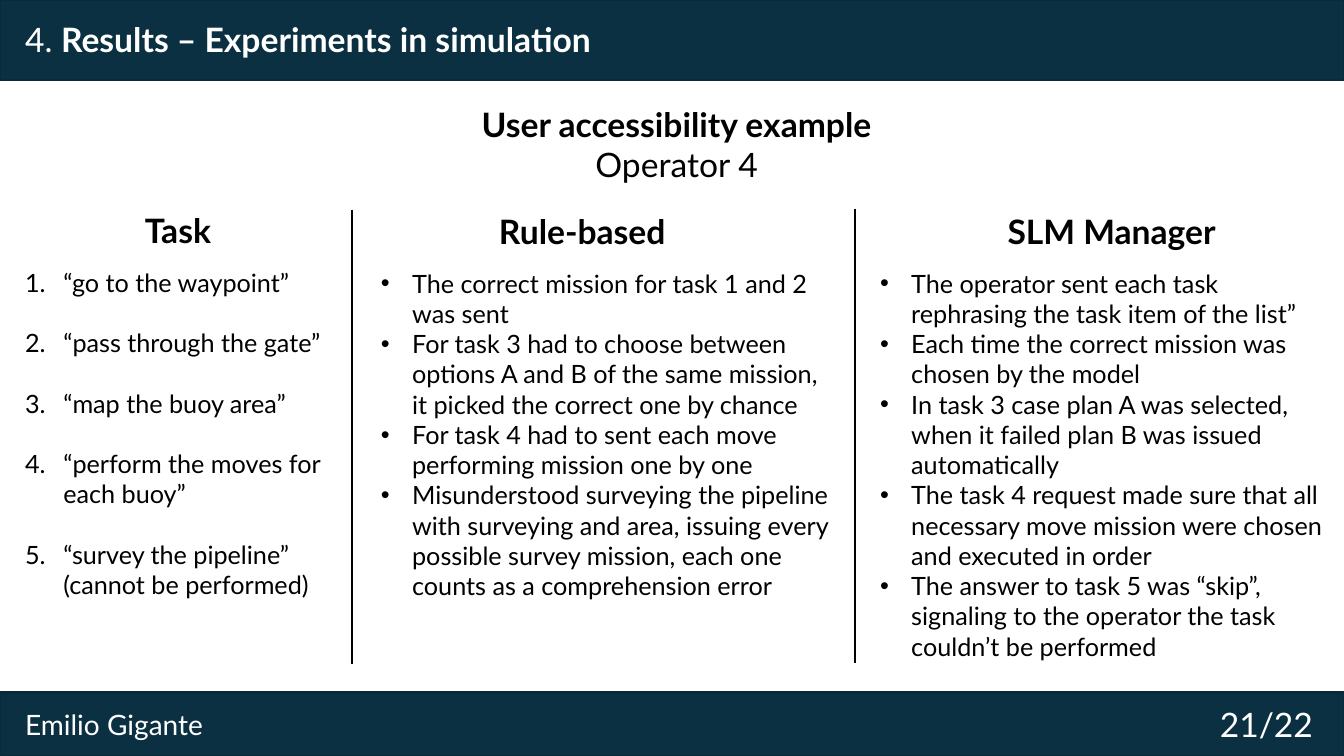
from pptx import Presentation
from pptx.dml.color import RGBColor
from pptx.enum.shapes import MSO_CONNECTOR as CONNECTOR, MSO_SHAPE as SHAPE
from pptx.enum.text import MSO_ANCHOR as ANCHOR, PP_ALIGN as ALIGN
from pptx.oxml.ns import qn
from pptx.util import Emu, Inches, Pt
from lxml.etree import SubElement

NAVY = RGBColor(0x0B, 0x30, 0x41)
NAVY_EDGE = RGBColor(0x09, 0x2A, 0x39)
WHITE = RGBColor(0xFF, 0xFF, 0xFF)
BLACK = RGBColor(0, 0, 0)
FONT = "Lato"
WIDTH, HEIGHT = 13.33, 7.5
HEADING_HEIGHT = 0.5
LIST_OFFSET = 0.57

TASKS = [
    "“go to the waypoint”",
    "“pass through the gate”",
    "“map the buoy area”",
    "“perform the moves for each buoy”",
    "“survey the pipeline”\v(cannot be performed)",
]
RULE_BASED = [
    "The correct mission for task 1 and 2 was sent",
    "For task 3 had to choose between options A and B of the same mission, it picked the correct one by chance",
    "For task 4 had to sent each move performing mission one by one",
    "Misunderstood surveying the pipeline with surveying and area, issuing every possible survey mission, "
    "each one counts as a comprehension error",
]
SLM_MANAGER = [
    "The operator sent each task rephrasing the task item of the list”",
    "Each time the correct mission was chosen by the model",
    "In task 3 case plan A was selected, when it failed plan B was issued automatically",
    "The task 4 request made sure that all necessary move mission were chosen and executed in order",
    "The answer to task 5 was “skip”, signaling to the operator the task couldn’t be performed",
]


def add_marker(paragraph, marker, indent):
    properties = paragraph._p.get_or_add_pPr()
    properties.set("marL", str(Inches(indent)))
    properties.set("indent", str(-Inches(indent)))
    if marker == "number":
        SubElement(properties, qn("a:buFont"), typeface="+mj-lt")
        SubElement(properties, qn("a:buAutoNum"), type="arabicPeriod")
    else:
        SubElement(properties, qn("a:buFont"), typeface="Arial")
        SubElement(properties, qn("a:buChar"), char="•")


def add_text(slide, box, paragraphs, size=24, color=BLACK, bold=False,
             align=ALIGN.LEFT, marker=None, indent=0, gap=0):
    frame = slide.shapes.add_textbox(*map(Inches, box)).text_frame
    frame.word_wrap = True
    frame.vertical_anchor = ANCHOR.TOP
    for index, content in enumerate(paragraphs):
        paragraph = frame.add_paragraph() if index else frame.paragraphs[0]
        if gap and index:
            paragraph.space_before = Pt(gap)
        if marker:
            add_marker(paragraph, marker, indent)
        paragraph.alignment = align
        if isinstance(content, str):
            paragraph.text = content
            weights = [bold] * len(paragraph.runs)
        else:
            weights = [weight for _, weight in content]
            for words, _ in content:
                paragraph.add_run().text = words
        for run, weight in zip(paragraph.runs, weights):
            run.font.name = FONT
            run.font.size = Pt(size)
            run.font.bold = weight
            run.font.color.rgb = color


def add_band(slide, top, height):
    band = slide.shapes.add_shape(SHAPE.RECTANGLE, Emu(0), Inches(top), Inches(WIDTH), Inches(height))
    band.shadow.inherit = False
    band.fill.solid()
    band.fill.fore_color.rgb = NAVY
    band.line.color.rgb = NAVY_EDGE
    band.line.width = Pt(1.5)


def add_header(slide, top, height):
    add_band(slide, top, height)
    title = [("4. ", False), ("Results – Experiments in simulation", True)]
    add_text(slide, (0.15, top + 0.14, 9.6, 0.5), [title], color=WHITE)


def add_footer(slide, top, height):
    add_band(slide, top, height)
    add_text(slide, (0.15, top + 0.1, 2.41, 0.44), ["Emilio Gigante"], size=20, color=WHITE)
    add_text(slide, (11.93, top + 0.06, 1.26, 0.5), ["21/22"], color=WHITE, align=ALIGN.CENTER)


def add_subtitle(slide, box):
    lines = [[("User accessibility example", True)], [("Operator 4", False)]]
    add_text(slide, box, lines, align=ALIGN.CENTER)


def add_column(slide, box, heading, items, heading_shift, heading_width, **list_format):
    left, top, width, height = box
    heading_box = (left + heading_shift, top, heading_width, HEADING_HEIGHT)
    add_text(slide, heading_box, [heading], bold=True, align=ALIGN.CENTER)
    list_box = (left, top + LIST_OFFSET, width, height - LIST_OFFSET)
    add_text(slide, list_box, items, size=18, **list_format)


def add_divider(slide, x, top, height):
    divider = slide.shapes.add_connector(
        CONNECTOR.STRAIGHT, Inches(x), Inches(top), Inches(x), Inches(top + height))
    divider.line.color.rgb = BLACK
    divider.line.width = Pt(1)
    SubElement(divider._element.spPr, qn("a:effectLst"))


def main():
    presentation = Presentation()
    presentation.slide_width = Inches(WIDTH)
    presentation.slide_height = Inches(HEIGHT)
    slide = presentation.slides.add_slide(presentation.slide_layouts[6])

    add_header(slide, 0, 0.79)
    add_footer(slide, 6.87, 0.63)
    add_subtitle(slide, (0.09, 0.98, 13.24, 0.91))
    add_column(slide, (0.15, 2.03, 3.37, 4), "Task", TASKS, 0.08, 3.07,
               marker="number", indent=0.38, gap=21.6)
    add_column(slide, (3.68, 2.04, 4.64, 4), "Rule-based", RULE_BASED, 0.21, 3.77,
               marker="bullet", indent=0.31)
    add_column(slide, (8.63, 2.04, 4.64, 4.61), "SLM Manager", SLM_MANAGER, 0.51, 3.77,
               marker="bullet", indent=0.31)
    for x, top in ((3.49, 2.08), (8.48, 2.07)):
        add_divider(slide, x, top, 4.51)

    presentation.save("out.pptx")


if __name__ == "__main__":
    main()
